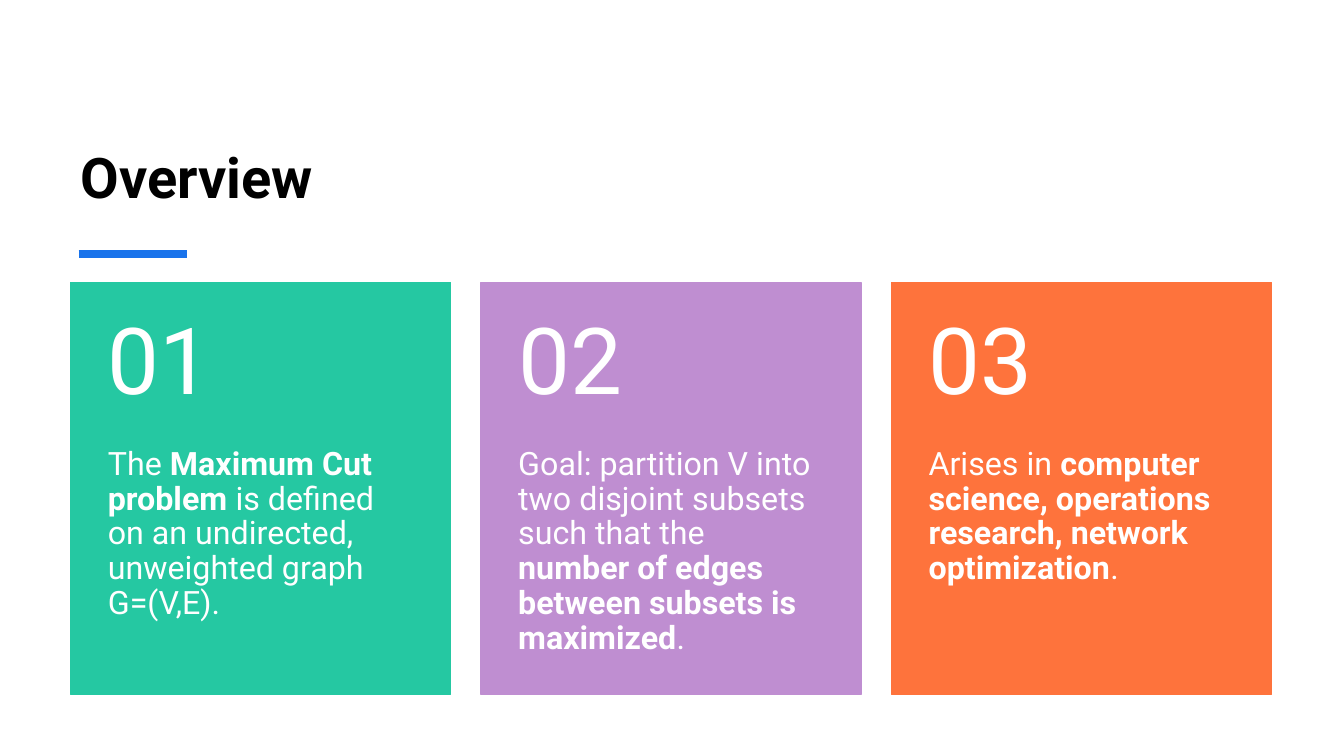
import pptx
import pptx.util
from lxml import etree
from pptx.dml.color import RGBColor
from pptx.enum.shapes import MSO_CONNECTOR, MSO_SHAPE
from pptx.enum.text import MSO_ANCHOR, MSO_AUTO_SIZE, PP_ALIGN
from pptx.oxml.ns import qn
from pptx.util import Inches

FONT = "Roboto"
COLORS = {
    "black": "000000",
    "white": "FFFFFF",
    "blue": "1973EB",
    "green": "25C8A2",
    "purple": "BF8ED1",
    "orange": "FE733C",
}

# Card grid
CARD_LEFT, CARD_TOP, CARD_STEP = 0.7, 2.8, 4.07
CARD_WIDTH, CARD_HEIGHT, NUMBER_HEIGHT = 3.77, 4.09, 1.64

# Each card: fill colour and (text, bold) spans
CARDS = [
    ("green", [("The ", False), ("Maximum Cut problem", True),
               (" is defined on an undirected, unweighted graph G=(V,E).", False)]),
    ("purple", [("Goal: partition V into two disjoint subsets such that the ", False),
                ("number of edges between subsets is maximized", True), (".", False)]),
    ("orange", [("Arises in ", False),
                ("computer science, operations research, network optimization", True),
                (".", False)]),
]


def rgb(name):
    return RGBColor.from_string(COLORS[name])


def write_text(box, spans, *, size, color, anchor, insets=(0.1, 0.05, 0.1, 0.05)):
    """Fill a box with one paragraph of (text, bold) spans."""
    frame = box.text_frame
    frame.word_wrap = True
    frame.auto_size = MSO_AUTO_SIZE.NONE
    frame.vertical_anchor = anchor
    (frame.margin_left, frame.margin_top,
     frame.margin_right, frame.margin_bottom) = map(Inches, insets)
    para = frame.paragraphs[0]
    para.alignment = PP_ALIGN.LEFT
    para.line_spacing = 0.9
    for text, bold in spans:
        span = para.add_run()
        span.text = text
        span.font.name = FONT
        span.font.size = pptx.util.Pt(size)
        span.font.bold = bold
        span.font.color.rgb = rgb(color)


def add_title(page, text):
    title = page.shapes.title
    title.left, title.top = Inches(0.7), Inches(0.62)
    title.width, title.height = Inches(11.91), Inches(1.52)
    write_text(title, [(text, True)], size=40, color="black", anchor=MSO_ANCHOR.BOTTOM)


def add_accent_line(page):
    line = page.shapes.add_connector(
        MSO_CONNECTOR.STRAIGHT, Inches(0.78), Inches(2.52), Inches(1.85), Inches(2.52))
    line.line.color.rgb = rgb("blue")
    line.line.width = pptx.util.Pt(6)
    etree.SubElement(line._element.spPr, qn("a:effectLst"))


def add_card(page, index, color, spans):
    left, width = Inches(CARD_LEFT + index * CARD_STEP), Inches(CARD_WIDTH)
    top, number_height = Inches(CARD_TOP), Inches(NUMBER_HEIGHT)
    card = page.shapes.add_group_shape()

    panel = card.shapes.add_shape(
        MSO_SHAPE.RECTANGLE, left, top, width, Inches(CARD_HEIGHT))
    panel.shadow.inherit = False
    panel.fill.solid()
    panel.fill.fore_color.rgb = rgb(color)
    panel.line.color.rgb = rgb(color)
    panel.line.width = pptx.util.Pt(1)

    body = card.shapes.add_textbox(
        left, top + number_height, width, Inches(CARD_HEIGHT - NUMBER_HEIGHT))
    write_text(body, spans, size=23, color="white", anchor=MSO_ANCHOR.TOP,
               insets=(0.37, 0, 0.37, 0.36))

    number = card.shapes.add_textbox(left, top, width, number_height)
    write_text(number, [(f"{index + 1:02}", False)], size=66, color="white",
               anchor=MSO_ANCHOR.MIDDLE, insets=(0.37, 0.18, 0.37, 0.18))


def main():
    deck = pptx.Presentation()
    deck.slide_width, deck.slide_height = Inches(13.33), Inches(7.5)
    page = deck.slides.add_slide(deck.slide_layouts[5])
    page.background.fill.solid()
    page.background.fill.fore_color.rgb = rgb("white")

    # Heading
    add_title(page, "Overview")
    add_accent_line(page)

    # Numbered cards
    for index, (color, spans) in enumerate(CARDS):
        add_card(page, index, color, spans)

    deck.save("out.pptx")


if __name__ == "__main__":
    main()
